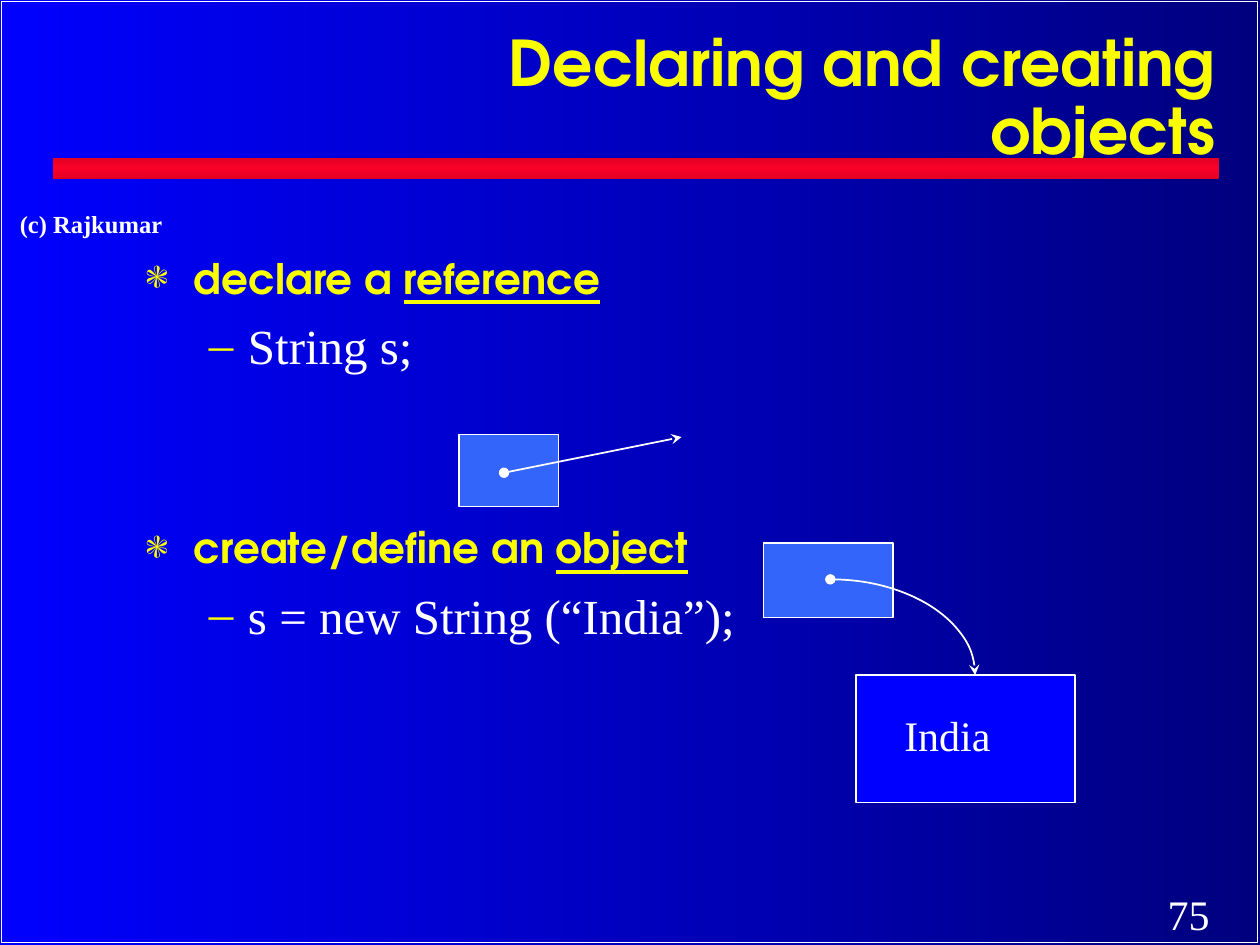
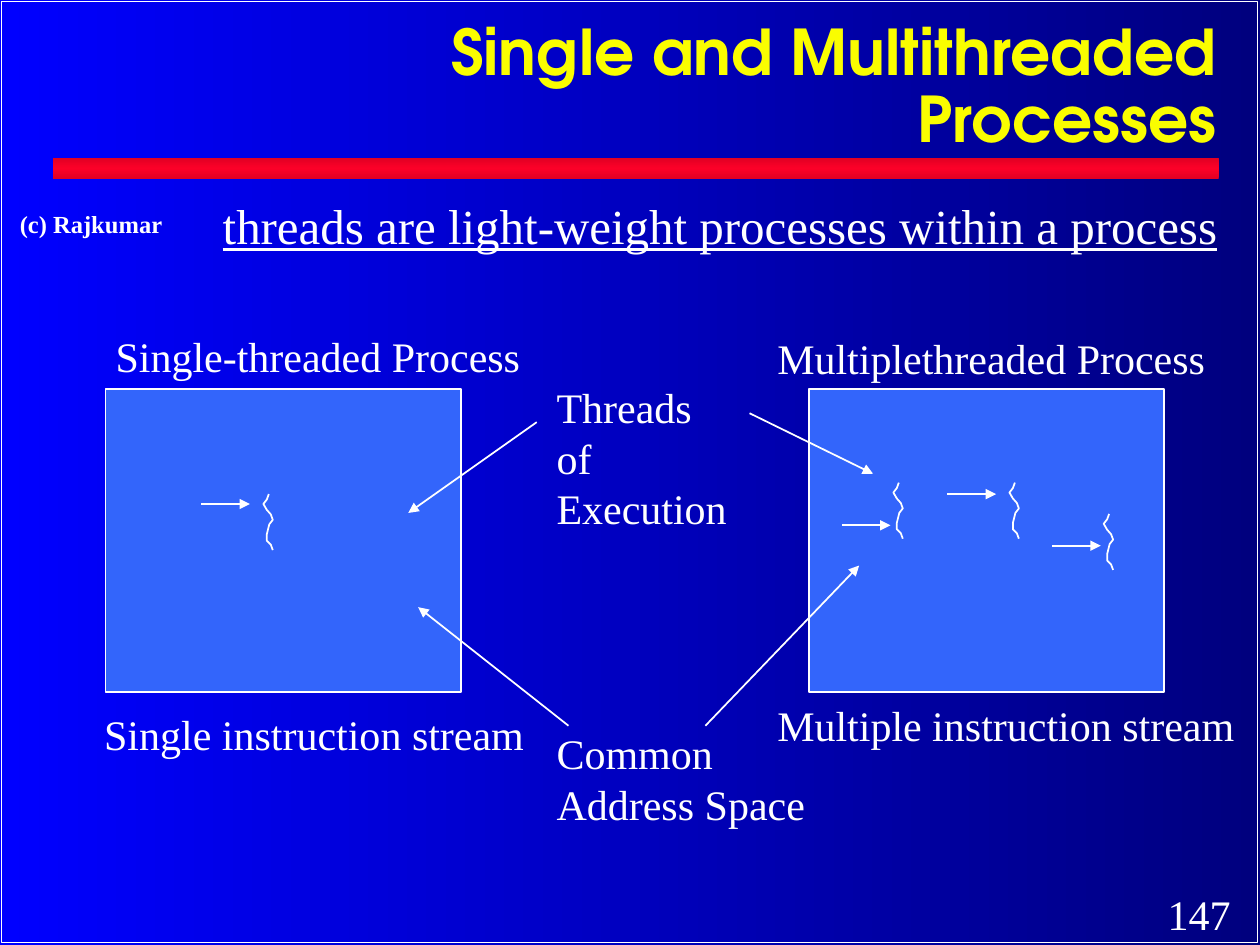
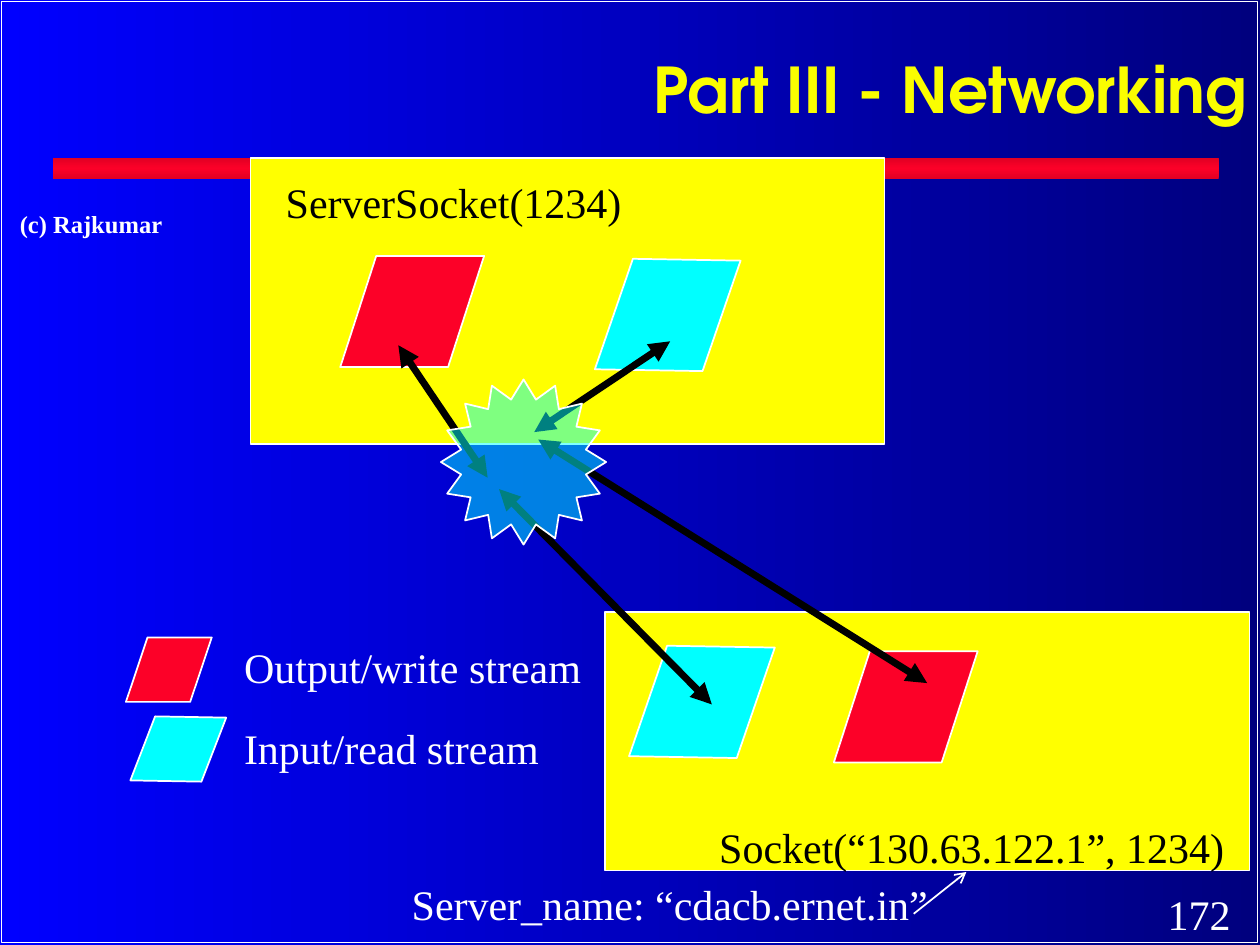
import copy

import lxml.etree
import pptx
import pptx.dml.color
import pptx.enum.shapes
import pptx.enum.text
import pptx.oxml.ns
import pptx.util

Cm, Pt = pptx.util.Cm, pptx.util.Pt
PRESET = pptx.enum.shapes.MSO_SHAPE
HEADING_FONT, TEXT_FONT = "TeX Gyre Adventor", "Times New Roman"
WHITE, BLACK, YELLOW, HEADING = "FFFFFF", "000000", "FFFF00", "FAFD00"
BLUE, NAVY, PALE_BLUE, RED, CYAN = "0000FF", "00007E", "3365FB", "FC0128", "00FFFF"

# ---- Content; all places are in centimetres ----
COPYRIGHT = "(c) Rajkumar"
OBJECTS, THREADS, NETWORK = (
    # title, title place, page number
    ("Declaring and creating objects", (6.88, 0.43, 17.88, 3.18), "75"),
    ("Single and Multithreaded Processes", (4.88, 0.2, 19.89, 3.18), "147"),
    ("Part III - Networking", (3.81, 0.99, 21.59, 1.8), "172"),
)

# Heading, underlined word, code, space before in points
STEPS = [
    ("declare a ", "reference", "String s;", 0),
    ("create/define an ", "object", "s = new String (“India”);", 88),
]

PROCESS_SIZE = (7.16, 6.1)
PROCESS_PLACES = [(2.13, 7.85), (16.31, 7.85)]
# Text, place, wrap
THREAD_LABELS = [
    ("Single-threaded Process", (2.08, 6.53, 8.66, 1.27), False),
    ("Single instruction stream", (1.85, 14.15, 10.82, 1.27), True),
    ("Multiplethreaded Process", (15.42, 6.58, 9.14, 1.27), True),
    ("Multiple instruction stream", (15.42, 13.97, 9.78, 1.27), True),
    ("Threads of\nExecution", (10.97, 7.57, 4.14, 2.29), False),
    ("Common\nAddress Space", (10.97, 14.55, 5.51, 2.29), False),
]
THREAD_SUMMARY = "threads are light-weight processes within a process"
# Corner of each thread, start of the short arrow beside it
THREAD_PLACES = [
    ((5.31, 9.96), (4.06, 10.16)),
    ((20.35, 9.73), (19.1, 9.96)),
    ((22.25, 10.36), (21.21, 11)),
    ((18.01, 9.73), (16.97, 10.59)),
]
THREAD_OUTLINE = [
    (0.11, 0), (0.07, 0.11), (0, 0.2), (0.07, 0.32), (0.15, 0.41), (0.19, 0.52),
    (0.12, 0.61), (0.1, 0.69), (0.07, 0.81), (0.07, 0.94), (0.15, 1.02), (0.19, 1.13),
]
THREAD_POINTERS = [
    ((11.46, 14.63), (8.43, 12.24)),
    ((10.82, 8.51), (8.23, 10.34)),
    ((14.22, 14.63), (17.32, 11.4)),
    ((15.11, 8.33), (17.6, 9.55)),
]

HOSTS = [(5.05, 3.18, 12.78, 5.77), (12.19, 12.34, 13, 5.21)]
# Colour, place, slant
STREAMS = [
    (RED, (6.86, 5.16, 2.9, 2.24), 0.324),
    (CYAN, (12.01, 5.23, 2.9, 2.24), 0.325),
    (RED, (16.81, 13.13, 2.9, 2.24), 0.324),
    (CYAN, (12.7, 13.03, 2.9, 2.24), 0.325),
    (RED, (2.54, 12.85, 1.73, 1.3), 0.334),
    (CYAN, (2.64, 14.45, 1.91, 1.3), 0.367),
]
STREAM_LINKS = [
    ((10.06, 9.86), (14.35, 14.2)),
    ((18.69, 13.77), (10.85, 8.86)),
    ((8.03, 6.96), (9.83, 9.63)),
    ((10.77, 8.71), (13.51, 6.88)),
]
NETWORK_LABELS = [
    ("ServerSocket(1234)", (5.51, 3.43, 7.29, 1.27), BLACK),
    ("Socket(“130.63.122.1”, 1234)", (14.25, 16.43, 10.69, 1.27), BLACK),
    ("Output/write stream", (4.67, 12.8, 7.32, 1.27), WHITE),
    ("Input/read stream", (4.67, 14.45, 6.45, 1.27), WHITE),
    ("Server_name: “cdacb.ernet.in”", (8.05, 17.58, 10.92, 1.27), WHITE),
]


# ---- Helpers ----
def rgb(value):
    return pptx.dml.color.RGBColor.from_string(value)


def cms(values):
    return [Cm(value) for value in values]


def add_xml(parent, tag, **attributes):
    return lxml.etree.SubElement(parent, pptx.oxml.ns.qn(tag), attributes)


def style_run(run, size, color, font=TEXT_FONT, bold=False, underline=False):
    run.font.size, run.font.name = Pt(size), font
    run.font.bold, run.font.underline = bold, underline
    run.font.color.rgb = rgb(color)


def add_text(slide, text, place, size=24, color=WHITE, wrap=False, **style):
    frame = slide.shapes.add_textbox(*cms(place)).text_frame
    frame.text, frame.word_wrap = text, wrap
    for paragraph in frame.paragraphs:
        for run in paragraph.runs:
            style_run(run, size, color, **style)


def style_outline(shape, fill=None):
    shape.shadow.inherit = False
    if fill:
        shape.fill.solid()
        shape.fill.fore_color.rgb = rgb(fill)
    else:
        shape.fill.background()
    shape.line.color.rgb, shape.line.width = rgb(WHITE), Pt(1)


def add_preset(slide, preset, place, fill=None):
    shape = slide.shapes.add_shape(preset, *cms(place))
    style_outline(shape, fill)
    return shape


def set_ends(shape, head, tail):
    outline = shape._element.spPr.find(pptx.oxml.ns.qn("a:ln"))
    for tag, end in (("a:headEnd", head), ("a:tailEnd", tail)):
        if end:
            add_xml(outline, tag, type=end)


def add_arrow(slide, start, end, head=None, tail="triangle", color=WHITE, width=1):
    arrow = slide.shapes.add_connector(
        pptx.enum.shapes.MSO_CONNECTOR.STRAIGHT, *cms(start + end))
    arrow.line.color.rgb, arrow.line.width = rgb(color), Pt(width)
    set_ends(arrow, head, tail)
    add_xml(arrow._element.spPr, "a:effectLst")


def set_gradient(fill, angle, colors):
    fill.gradient_angle = angle
    for stop, color in zip(fill.gradient_stops, colors):
        stop.color.rgb = rgb(color)


def set_bullet(paragraph, character, left, hanging, percent):
    properties = paragraph._p.get_or_add_pPr()
    properties.set("marL", str(Cm(left)))
    properties.set("indent", str(-Cm(hanging)))
    add_xml(add_xml(properties, "a:buClr"), "a:srgbClr", val=YELLOW)
    add_xml(properties, "a:buSzPct", val=str(percent * 1000))
    add_xml(properties, "a:buFont", typeface=TEXT_FONT)
    add_xml(properties, "a:buChar", char=character)


# ---- Shared slide design ----
def add_slide(deck, title, title_place, page):
    slide = deck.slides.add_slide(deck.slide_layouts.get_by_name("Title Only"))
    add_preset(slide, PRESET.RECTANGLE, (0.03, 0.03, 25.32, 18.97))

    # Red band under the title, darker at both edges
    band = add_preset(slide, PRESET.RECTANGLE, (1.07, 3.18, 23.5, 0.43))
    band.line.fill.background()
    band.fill.gradient()
    stops = band._element.spPr.find(".//" + pptx.oxml.ns.qn("a:gsLst"))
    stops.insert(1, copy.deepcopy(stops[0]))
    stops[1].set("pos", "50000")
    set_gradient(band.fill, 90, ["E10023", RED, "E10023"])

    add_text(slide, page, (23.29, 17.78, 1.91, 1.27), wrap=True)
    add_text(slide, COPYRIGHT, (0.15, 4.09, 3.38, 0.84), size=14, bold=True)

    heading = slide.shapes.title
    heading.left, heading.top, heading.width, heading.height = cms(title_place)
    frame = heading.text_frame
    frame.text, frame.word_wrap = title, True
    frame.auto_size = pptx.enum.text.MSO_AUTO_SIZE.NONE
    frame.vertical_anchor = pptx.enum.text.MSO_ANCHOR.MIDDLE
    paragraph = frame.paragraphs[0]
    paragraph.alignment = pptx.enum.text.PP_ALIGN.RIGHT
    paragraph.line_spacing = 0.89
    style_run(paragraph.runs[0], 36, HEADING, HEADING_FONT, bold=True)
    return slide


# ---- Slides ----
def build_objects(deck):
    slide = add_slide(deck, *OBJECTS)
    frame = slide.shapes.add_textbox(*cms((2.69, 5.08, 22.12, 12.07))).text_frame
    frame.word_wrap = True
    for number, (heading, keyword, code, gap) in enumerate(STEPS):
        step = frame.add_paragraph() if number else frame.paragraphs[0]
        step.text = heading
        step.add_run().text = keyword
        step.line_spacing, step.space_before = 0.89, Pt(gap)
        set_bullet(step, "❃", 0.97, 0.97, 75)
        for run in step.runs:
            style_run(run, 24, HEADING, HEADING_FONT, True, run.text == keyword)
        example = frame.add_paragraph()
        example.text, example.level, example.space_before = code, 1, Pt(7)
        set_bullet(example, "–", 2.06, 0.79, 100)
        style_run(example.runs[0], 28, WHITE)

    # Reference without an object, then one that leads to its object
    add_preset(slide, PRESET.RECTANGLE, (9.25, 8.76, 2.01, 1.45), PALE_BLUE)
    add_arrow(slide, (10.16, 9.53), (13.74, 8.81), "oval", "stealth")
    add_preset(slide, PRESET.RECTANGLE, (15.39, 10.95, 2.62, 1.5), PALE_BLUE)
    reference = add_preset(slide, PRESET.ARC, (13.82, 11.68, 5.84, 3.86))
    set_ends(reference, "oval", "stealth")
    add_preset(slide, PRESET.RECTANGLE, (17.25, 13.61, 4.42, 2.57), BLUE)
    add_text(slide, "India", (17.98, 14.17, 2.26, 1.27))


def build_threads(deck):
    slide = add_slide(deck, *THREADS)
    for place in PROCESS_PLACES:
        add_preset(slide, PRESET.RECTANGLE, place + PROCESS_SIZE, PALE_BLUE)
    for (left, top), (x, y) in THREAD_PLACES:
        points = [cms((left + dx, top + dy)) for dx, dy in THREAD_OUTLINE]
        builder = slide.shapes.build_freeform(*points[0])
        builder.add_line_segments(points[1:], close=False)
        style_outline(builder.convert_to_shape())
        add_arrow(slide, (x, y), (x + 0.98, y))
    for text, place, wrap in THREAD_LABELS:
        add_text(slide, text, place, wrap=wrap)
    for start, end in THREAD_POINTERS:
        add_arrow(slide, start, end)
    add_text(slide, THREAD_SUMMARY, (4.24, 3.81, 20.57, 1.45), size=28, underline=True)


def build_network(deck):
    slide = add_slide(deck, *NETWORK)
    for place in HOSTS:
        add_preset(slide, PRESET.RECTANGLE, place, YELLOW)
    for color, place, slant in STREAMS:
        stream = add_preset(slide, PRESET.PARALLELOGRAM, place, color)
        stream.adjustments[0] = slant
        stream.rotation = 1 if color == CYAN else 0
    for start, end in STREAM_LINKS:
        add_arrow(slide, start, end, head="triangle", color=BLACK, width=4)
    for text, place, color in NETWORK_LABELS:
        add_text(slide, text, place, color=color)

    # Half-transparent connection point over the link ends
    junction = add_preset(slide, PRESET.STAR_16_POINT, (8.89, 7.65, 3.33, 3.33), CYAN)
    junction.adjustments[0] = 0.385
    color = junction._element.spPr.find(
        pptx.oxml.ns.qn("a:solidFill") + "/" + pptx.oxml.ns.qn("a:srgbClr"))
    add_xml(color, "a:alpha", val="50000")
    add_arrow(slide, (18.42, 18.42), (19.48, 17.58), tail="arrow")


def main():
    deck = pptx.Presentation()
    deck.slide_width, deck.slide_height = Cm(25.4), Cm(19.05)
    background = deck.slide_master.background.fill
    background.gradient()
    set_gradient(background, 180, [NAVY, BLUE])
    build_objects(deck)
    build_threads(deck)
    build_network(deck)
    deck.save("out.pptx")


if __name__ == "__main__":
    main()
